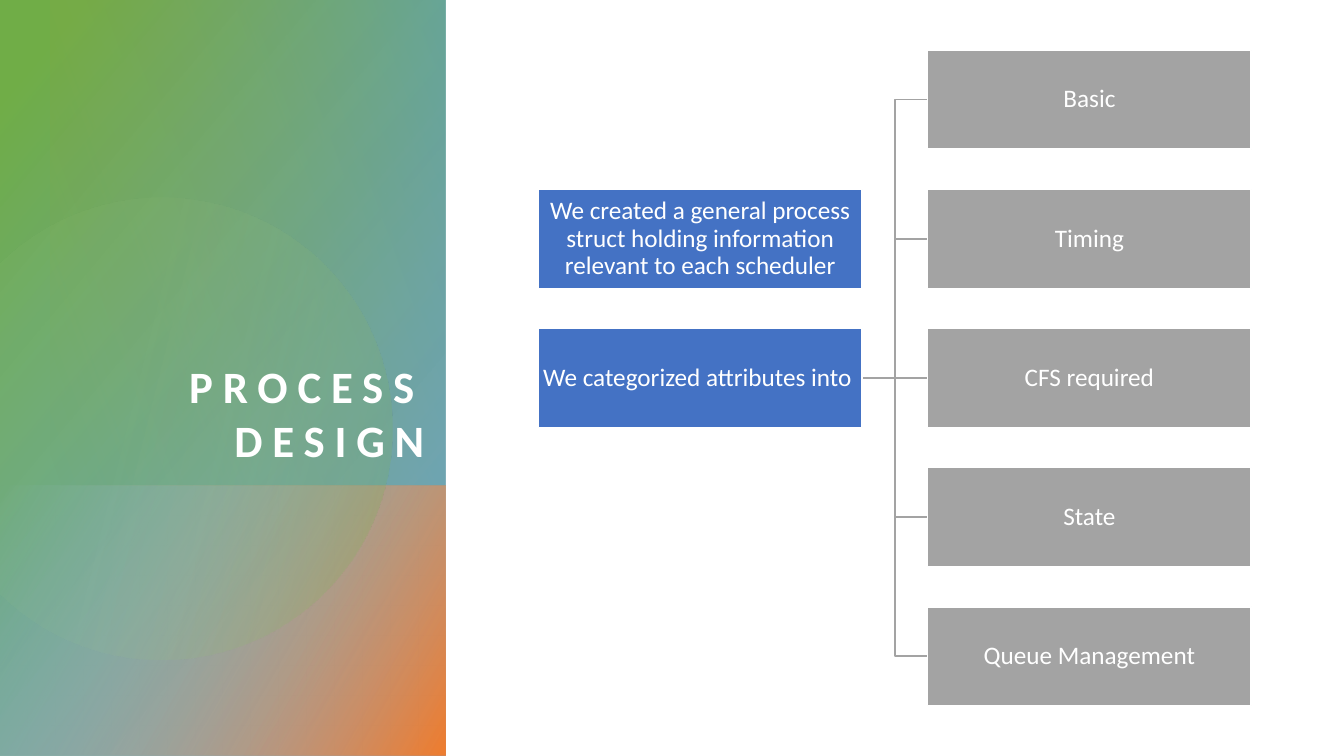
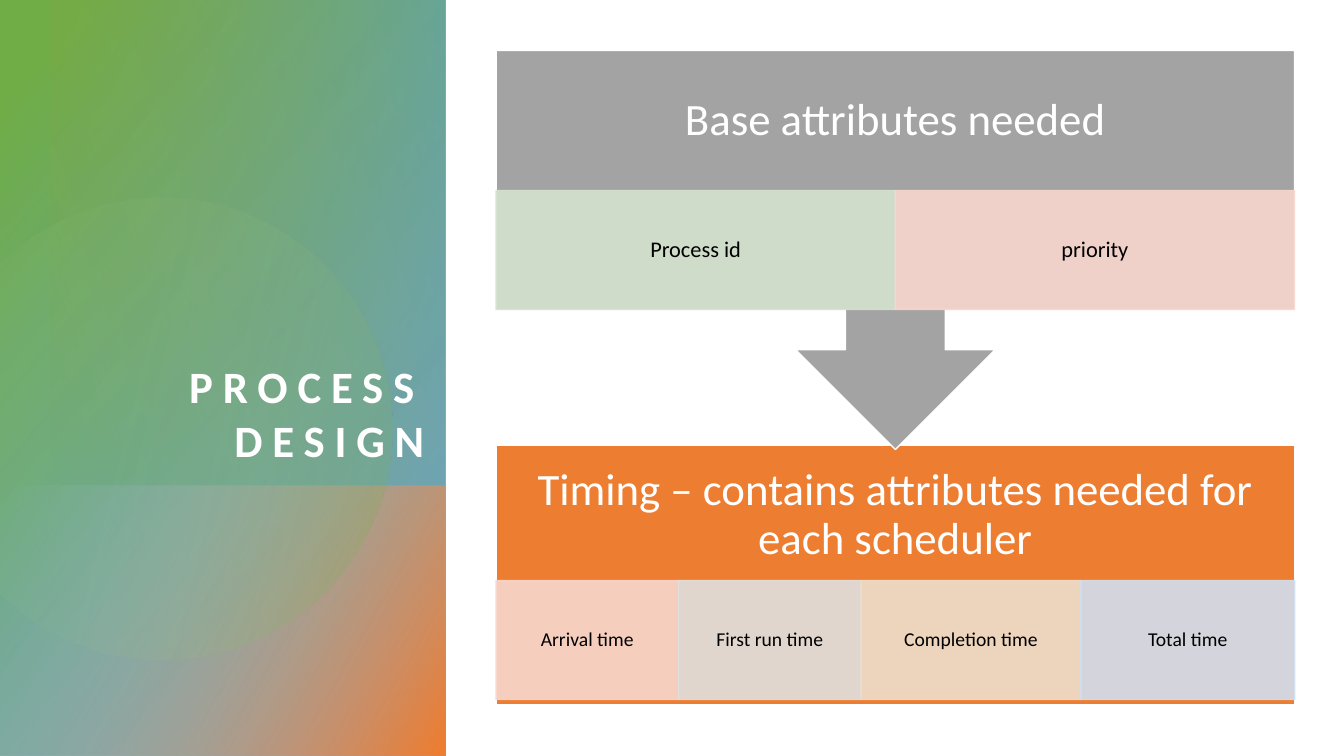
from dataclasses import dataclass
from itertools import accumulate
from math import acos, cos, sin

from lxml.etree import SubElement
from pptx import Presentation
from pptx.dml.color import RGBColor
from pptx.enum.shapes import MSO_CONNECTOR, MSO_SHAPE
from pptx.enum.text import MSO_ANCHOR, PP_ALIGN
from pptx.oxml.ns import qn
from pptx.util import Inches, Pt


@dataclass(frozen=True)
class Theme:
    font: str = "Calibri"
    white: str = "FFFFFF"
    black: str = "000000"
    blue: str = "4472C4"
    gray: str = "A3A3A3"
    orange: str = "ED7D31"
    green: str = "70AD47"
    sky: str = "5B9BD5"
    pale: str = "9DC3E6"
    lime: str = "A9D18E"
    gold: str = "CF9B00"
    mint: str = "D5E3CF"
    rose: str = "F8D7CE"
    ash: str = "E0E0E0"
    sand: str = "EDDECC"
    mist: str = "D2DEEF"
    large: int = 32
    body: int = 18
    label: int = 16
    small: int = 14


T = Theme()
SIDE = 4.42     # width of the title panel
FOOT = 4.82     # top of the panel's lower part
TOP = 0.5       # top of the content area
LEFT = 4.92     # left of the content area on the flow slide
WIDE = 7.92     # width of the content area on the flow slide


def rgb(code):
    return RGBColor.from_string(code)


def fade(color, alpha):
    """Give a colour element an opacity in percent."""
    SubElement(color, qn("a:alpha")).set("val", str(alpha * 1000))


def write(shape, words, size=T.body, color=T.white, bold=False, align=PP_ALIGN.CENTER,
          anchor=MSO_ANCHOR.MIDDLE, inset=(0.01, 0.01, 0.01, 0.01), lead=0.9, track=0):
    """Set text; inset is left, top, right, bottom in inches, track in points."""
    frame = shape.text_frame
    frame.word_wrap = True
    frame.vertical_anchor = anchor
    (frame.margin_left, frame.margin_top,
     frame.margin_right, frame.margin_bottom) = map(Inches, inset)
    par = frame.paragraphs[0]
    par.alignment = align
    par.line_spacing = lead
    run = par.add_run()
    run.text = words
    font = run.font
    font.name, font.size, font.bold = T.font, Pt(size), bold
    font.color.rgb = rgb(color)
    if track:
        font._element.set("spc", str(track * 100))


def block(slide, area, fill, line=T.white, kind=MSO_SHAPE.RECTANGLE, alpha=100):
    shape = slide.shapes.add_shape(kind, *map(Inches, area))
    shape.shadow.inherit = False
    shape.fill.solid()
    shape.fill.fore_color.rgb = rgb(fill)
    shape.line.color.rgb = rgb(line)
    shape.line.width = Pt(1)
    if alpha < 100:
        for color in shape._element.spPr.iter(qn("a:srgbClr")):
            fade(color, alpha)
    return shape


def blend(shape, angle, *stops):
    """Fill with two (position, colour, opacity) stops along a clockwise angle."""
    shape.shadow.inherit = False
    shape.line.fill.background()
    shape.fill.gradient()
    shape.fill.gradient_angle = 360 - angle
    for stop, (place, color, _) in zip(shape.fill.gradient_stops, stops):
        stop.position = place / 100
        stop.color.rgb = rgb(color)
    colors = shape._element.spPr.iter(qn("a:srgbClr"))
    for color, (_, _, alpha) in zip(list(colors), stops):
        fade(color, alpha)


def disc(slide, x, y, radius, steps=90):
    """Draw a circle cut off at the slide's left edge."""
    reach = acos(-x / radius)
    turns = [reach * (2 * n / steps - 1) for n in range(steps + 1)]
    points = [(Inches(x + radius * cos(t)), Inches(y + radius * sin(t))) for t in turns]
    path = slide.shapes.build_freeform(*points[0])
    path.add_line_segments(points[1:], close=True)
    return path.convert_to_shape()


def panel(slide, title):
    """Draw the coloured side panel with the slide title."""
    def rect(*area):
        return slide.shapes.add_shape(MSO_SHAPE.RECTANGLE, *map(Inches, area))

    blend(rect(0, 0, SIDE, 7.5), 40, (8, T.green, 100), (100, T.sky, 89))
    blend(rect(0, FOOT, SIDE, 7.5 - FOOT), 30, (0, T.pale, 0), (99, T.orange, 100))
    blend(disc(slide, 1.6, 4.25, 2.29), 14, (36, T.lime, 6), (100, T.green, 26))
    blend(rect(0.5, 0, SIDE - 0.5, FOOT), 160, (0, T.sky, 29), (100, T.gold, 0))
    box = slide.shapes.add_textbox(*map(Inches, (0.5, 0.95, 3.71, 3.68)))
    write(box, title, T.large, bold=True, align=PP_ALIGN.RIGHT,
          anchor=MSO_ANCHOR.BOTTOM, inset=(0, 0, 0, 0), lead=1, track=7)


def elbow(slide):
    wire = slide.shapes.add_connector(MSO_CONNECTOR.ELBOW, 0, 0, 0, 0)
    wire.line.color.rgb = rgb(T.gray)
    wire.line.width = Pt(1)
    SubElement(wire._element.spPr, qn("a:effectLst"))
    return wire


def tree(slide, roots, leaves):
    """Draw roots on the left, the last of them joined to every leaf."""
    wires = [elbow(slide) for _ in leaves]

    def node(x, row, words, fill):
        shape = block(slide, (x, TOP + 1.38 * row, 3.21, 0.98), fill)
        write(shape, words)
        return shape

    hub = [node(5.34, row, words, T.blue) for row, words in enumerate(roots, 1)][-1]
    for row, (wire, words) in enumerate(zip(wires, leaves)):
        leaf = node(9.2, row, words, T.gray)
        wire.begin_connect(hub, 3)
        wire.end_connect(leaf, 1)


def stage(slide, top, height, head, fill, tiles, drop, size, kind=MSO_SHAPE.RECTANGLE):
    """Draw a headed band with tiles, each (words, colour, width), drop below its top."""
    band = block(slide, (LEFT, top, WIDE, height), fill, kind=kind)
    write(band, head, T.large, inset=(0.25, 0.1, 0.25, 1.28))
    edges = accumulate((width for _, _, width in tiles), initial=LEFT)
    for x, (words, color, width) in zip(edges, tiles):
        tile = block(slide, (x, top + drop, width, 1.18), color, color, alpha=90)
        write(tile, words, size, T.black, inset=(0.11, 0.02, 0.11, 0.02))


def main():
    deck = Presentation()
    deck.slide_width, deck.slide_height = Inches(13.33), Inches(7.5)
    pages = [deck.slides.add_slide(deck.slide_layouts[6]) for _ in range(2)]
    for page in pages:
        panel(page, "PROCESS DESIGN")

    split, flow = pages
    tree(split,
         ["We created a general process struct holding information relevant to each scheduler",
          "We categorized attributes into "],
         ["Basic", "Timing", "CFS required", "State", "Queue Management"])

    stage(flow, 4.42, 2.57, "Timing – contains attributes needed for each scheduler", T.orange,
          [("Arrival time", T.rose, 1.81), ("First run time", T.ash, 1.81),
           ("Completion time", T.sand, 2.18), ("Total time", T.mist, 2.12)],
          1.34, T.small)
    stage(flow, TOP, 3.96, "Base attributes needed", T.gray,
          [("Process id", T.mint, WIDE / 2), ("priority", T.rose, WIDE / 2)],
          1.39, T.label, MSO_SHAPE.DOWN_ARROW_CALLOUT)
    deck.save("out.pptx")


if __name__ == "__main__":
    main()
